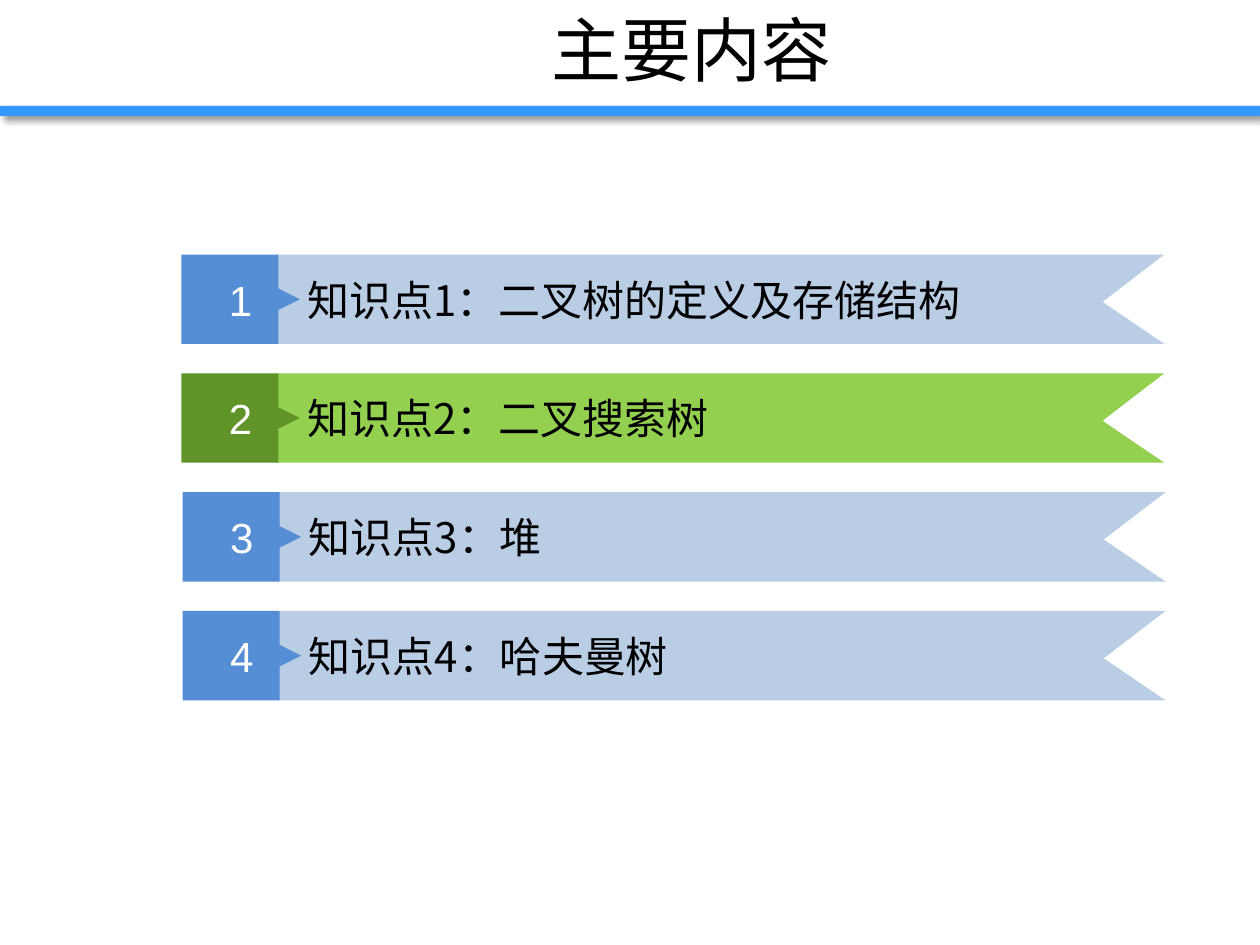
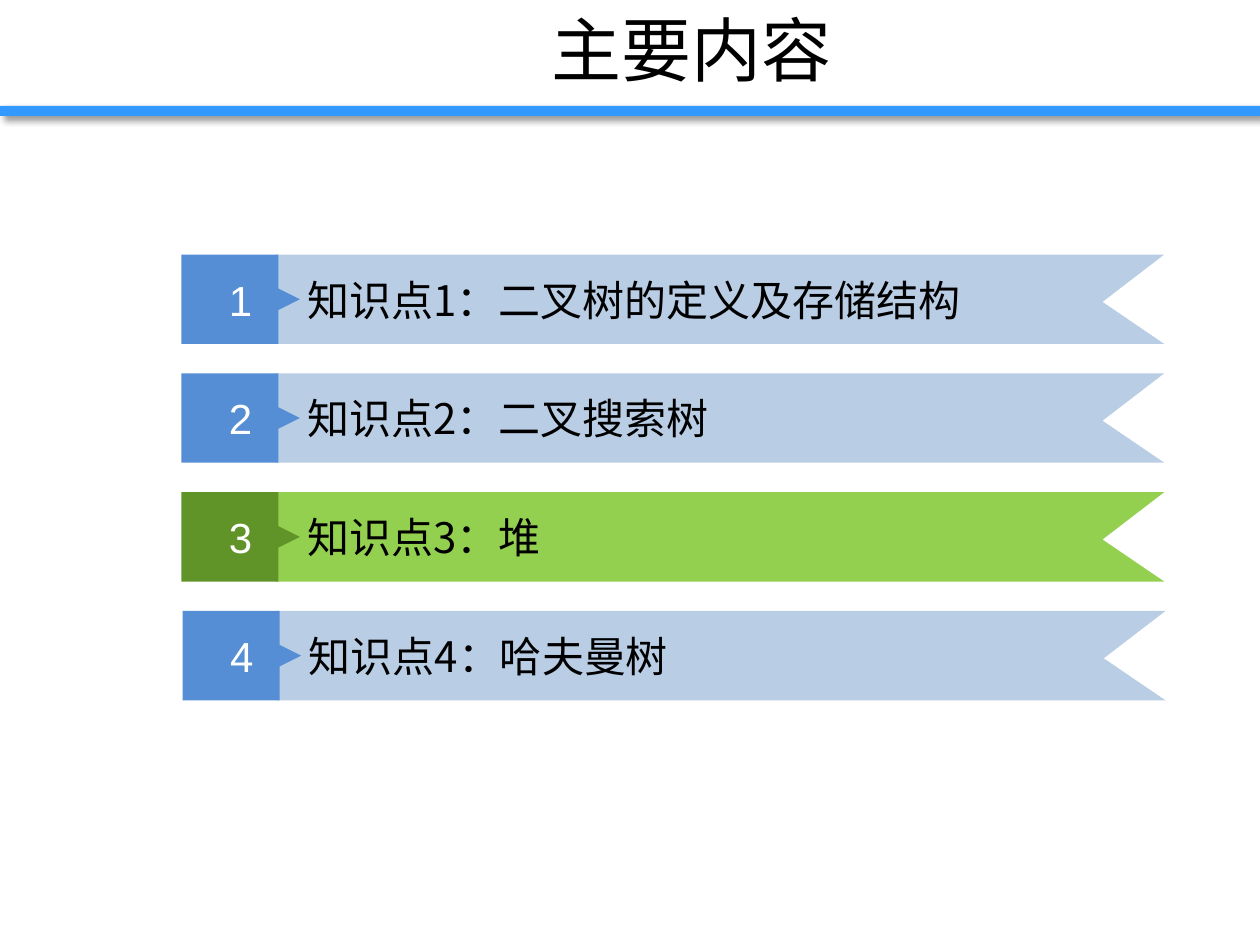
from dataclasses import dataclass
from lxml import etree
from pptx import Presentation, util as u
from pptx.dml.color import RGBColor
from pptx.enum import shapes, text
from pptx.oxml.ns import qn

TITLE = "主要内容"
TOPICS = ["二叉树的定义及存储结构", "二叉搜索树", "堆", "哈夫曼树"]
ACTIVE = [2, 3]


@dataclass(frozen=True)
class Theme:
    band: str = "3399FF"
    ink: str = "000000"
    white: str = "FFFFFF"
    plain: tuple = ("B9CDE5", "558ED5")
    live: tuple = ("93D050", "619428")
    han: str = "Noto Sans CJK SC"
    latin: str = "Arial"
    big: int = 40
    body: int = 24


T = Theme()
WIDE, HIGH = 10, 7.5
LEFT, TOP, PITCH, TALL = 1.44, 2.02, 0.943, 0.71
BAR_X, BAR_W, NOTCH = 0.75, 7.05, 0.49
TAG_W, TIP = 0.77, 0.17
NUDGE = 0.01
BAR = [(0, 0), (BAR_W, 0), (BAR_W - NOTCH, 0.53), (BAR_W, 1), (0, 1)]
TAG = [(0, 0), (TAG_W, 0), (TAG_W, 0.38), (TAG_W + TIP, 0.5),
       (TAG_W, 0.62), (TAG_W, 1), (0, 1)]
CENTER, START = text.PP_ALIGN.CENTER, text.PP_ALIGN.LEFT


def put(obj, vals):
    for key, val in vals.items():
        setattr(obj, key, val)


def paint(shape, color):
    shape.shadow.inherit = False
    shape.fill.solid()
    shape.fill.fore_color.rgb = RGBColor.from_string(color)
    shape.line.fill.background()


def write(shape, words, face, size, color, align, inset=0.1):
    frame = shape.text_frame
    put(frame, dict(word_wrap=True, margin_left=u.Inches(inset),
                    vertical_anchor=text.MSO_ANCHOR.MIDDLE))
    para = frame.paragraphs[0]
    para.alignment = align
    run = para.add_run()
    run.text = words
    put(run.font, dict(name=face, size=u.Pt(size)))
    run.font.color.rgb = RGBColor.from_string(color)
    etree.SubElement(run.font._element, qn("a:ea"), typeface=face)


def outline(group, marks, x, y, color):
    pts = [(u.Inches(x + dx), u.Inches(y + dy * TALL)) for dx, dy in marks]
    pen = group.shapes.build_freeform(*pts[0])
    pen.add_line_segments(pts[1:], close=True)
    shape = pen.convert_to_shape()
    paint(shape, color)
    return shape


def frame_slide(slide):
    band = slide.shapes.add_shape(
        shapes.MSO_SHAPE.RECTANGLE, 0, u.Inches(0.84),
        u.Inches(WIDE), u.Inches(0.08))
    paint(band, T.band)
    glow = band._element.spPr.find(qn("a:effectLst"))
    cast = etree.SubElement(
        glow, qn("a:outerShdw"), blurRad=str(u.Pt(4)), dist=str(u.Pt(3)),
        dir=str(45 * 60000), algn="tl", rotWithShape="0")
    tint = etree.SubElement(cast, qn("a:srgbClr"), val=T.ink)
    etree.SubElement(tint, qn("a:alpha"), val="40000")
    box = slide.shapes.add_textbox(
        u.Inches(0.98), 0, u.Inches(WIDE - 0.98), u.Inches(0.77))
    write(box, TITLE, T.han, T.big, T.ink, CENTER)


def add_topic(slide, num, topic, active):
    x = LEFT + (NUDGE if num > active else 0)
    y = TOP + (num - 1) * PITCH
    pale, deep = T.live if num == active else T.plain
    group = slide.shapes.add_group_shape()
    bar = outline(group, BAR, x + BAR_X, y, pale)
    write(bar, f"知识点{num}：{topic}", T.han, T.body, T.ink, START, 0.25)
    tag = outline(group, TAG, x, y, deep)
    write(tag, str(num), T.latin, T.body, T.white, CENTER)


def main():
    deck = Presentation()
    put(deck, dict(slide_width=u.Inches(WIDE), slide_height=u.Inches(HIGH)))
    for active in ACTIVE:
        slide = deck.slides.add_slide(deck.slide_layouts[6])
        frame_slide(slide)
        for num, topic in enumerate(TOPICS, 1):
            add_topic(slide, num, topic, active)
    deck.save("out.pptx")


if __name__ == "__main__":
    main()
